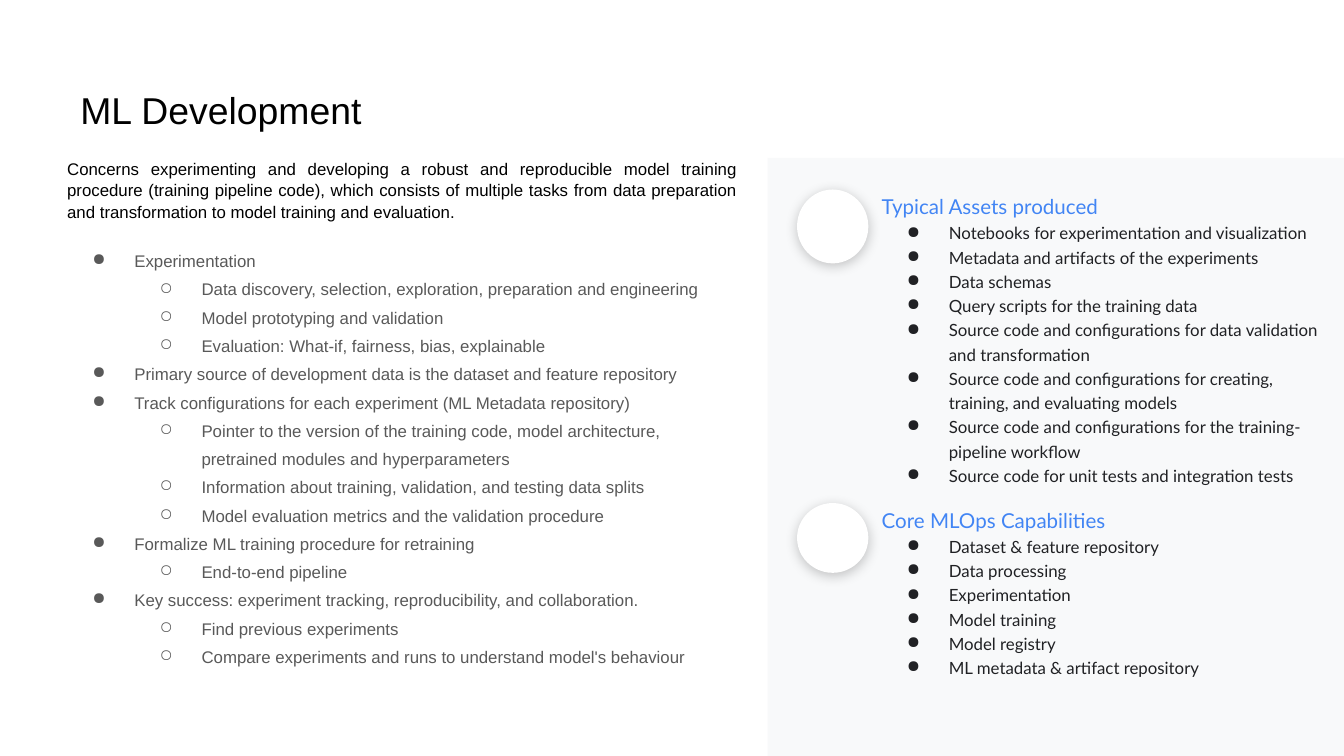
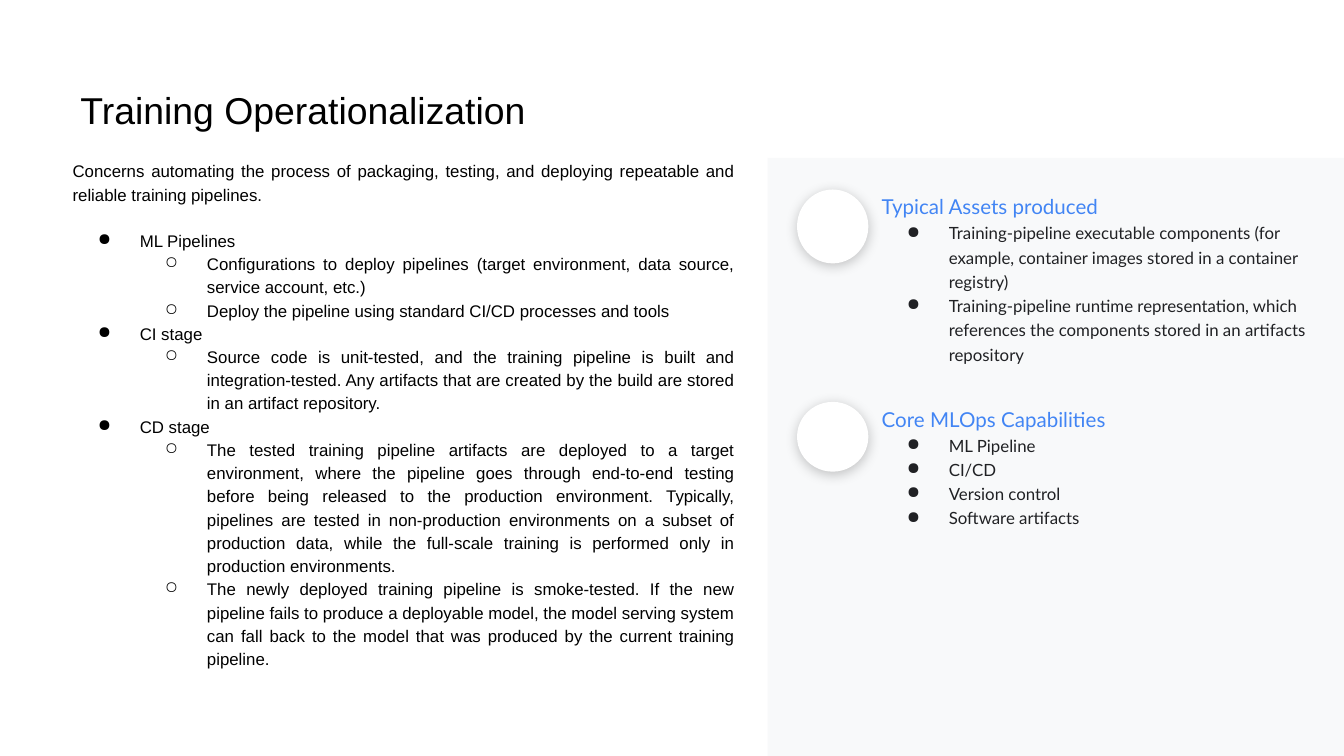
from lxml import etree
from pptx import Presentation
from pptx import util as u
from pptx.dml.color import RGBColor
from pptx.enum import shapes, text
from pptx.oxml import ns

Pt = u.Pt
COLORS = {
    "black": "000000",
    "gray": "595959",
    "ink": "202124",
    "blue": "4285F4",
    "panel": "F8F9FA",
    "white": "FFFFFF",
}
BULLETS = "●○"
STEP, HANG = 36, 22.5
PANEL_LEFT, PANEL_TOP = 411.25, 84.6
ASSETS_TOP = 101.5

# Slide content; list entries are (level, wording)
SLIDES = [
    {
        "title": "ML Development",
        "body": (36, 365.6),
        "intro": "Concerns experimenting and developing a robust and reproducible model training procedure (training pipeline code), which consists of multiple tasks from data preparation and transformation to model training and evaluation.",
        "intro_spacing": 1.05,
        "intro_gap": 11.4,
        "list_spacing": 1.4,
        "list_color": "gray",
        "list_align": text.PP_ALIGN.LEFT,
        "list": [
            (0, "Experimentation"),
            (1, "Data discovery, selection, exploration, preparation and engineering"),
            (1, "Model prototyping and validation"),
            (1, "Evaluation: What-if, fairness, bias, explainable"),
            (0, "Primary source of development data is the dataset and feature repository"),
            (0, "Track configurations for each experiment (ML Metadata repository)"),
            (1, "Pointer to the version of the training code, model architecture, pretrained modules and hyperparameters"),
            (1, "Information about training, validation, and testing data splits"),
            (1, "Model evaluation metrics and the validation procedure"),
            (0, "Formalize ML training procedure for retraining"),
            (1, "End-to-end pipeline"),
            (0, "Key success: experiment tracking, reproducibility, and collaboration."),
            (1, "Find previous experiments"),
            (1, "Compare experiments and runs to understand model's behaviour"),
        ],
        "assets_width": 238.3,
        "assets": [
            "Notebooks for experimentation and visualization",
            "Metadata and artifacts of the experiments",
            "Data schemas",
            "Query scripts for the training data",
            "Source code and configurations for data validation and transformation",
            "Source code and configurations for creating, training, and evaluating models",
            "Source code and configurations for the training-pipeline workflow",
            "Source code for unit tests and integration tests",
        ],
        "core_box": (269.5, 228.2, 100.8),
        "core": [
            "Dataset & feature repository",
            "Data processing",
            "Experimentation",
            "Model training",
            "Model registry",
            "ML metadata & artifact repository",
        ],
    },
    {
        "title": "Training Operationalization",
        "body": (38.9, 361.4),
        "intro": "Concerns automating the process of packaging, testing, and deploying repeatable and reliable training pipelines.",
        "intro_spacing": 1.15,
        "intro_gap": 12.4,
        "list_spacing": 1.15,
        "list_color": "black",
        "list_align": text.PP_ALIGN.JUSTIFY,
        "list": [
            (0, "ML Pipelines"),
            (1, "Configurations to deploy pipelines (target environment, data source, service account, etc.)"),
            (1, "Deploy the pipeline using standard CI/CD processes and tools"),
            (0, "CI stage"),
            (1, "Source code is unit-tested, and the training pipeline is built and integration-tested. Any artifacts that are created by the build are stored in an artifact repository."),
            (0, "CD stage"),
            (1, "The tested training pipeline artifacts are deployed to a target environment, where the pipeline goes through end-to-end testing before being released to the production environment. Typically, pipelines are tested in non-production environments on a subset of production data, while the full-scale training is performed only in production environments."),
            (1, "The newly deployed training pipeline is smoke-tested. If the new pipeline fails to produce a deployable model, the model serving system can fall back to the model that was produced by the current training pipeline."),
        ],
        "assets_width": 243.4,
        "assets": [
            "Training-pipeline executable components (for example, container images stored in a container registry)",
            "Training-pipeline runtime representation, which references the components stored in an artifacts repository",
        ],
        "core_box": (215.3, 210.2, 128.9),
        "core": ["ML Pipeline", "CI/CD", "Version control", "Software artifacts"],
    },
]


def add_box(page, left, top, width, height, insets=(0, 0, 0, 0)):
    box = page.shapes.add_textbox(Pt(left), Pt(top), Pt(width), Pt(height))
    frame = box.text_frame
    frame.word_wrap = True
    frame.margin_left, frame.margin_top, frame.margin_right, frame.margin_bottom = map(Pt, insets)
    return frame


def add_para(frame, wording, size, color, font, spacing, level=None, align=text.PP_ALIGN.LEFT):
    para = frame.paragraphs[0] if not frame.text else frame.add_paragraph()
    para.add_run().text = wording
    para.alignment = align
    para.line_spacing = spacing
    if level is not None:
        para.level = level
        props = para._p.get_or_add_pPr()
        props.set("marL", str(Pt(STEP * (level + 1))))
        props.set("indent", str(-Pt(HANG)))
        tint = etree.SubElement(props, ns.qn("a:buClr"))
        etree.SubElement(tint, ns.qn("a:srgbClr"), val=COLORS[color])
        etree.SubElement(props, ns.qn("a:buChar"), char=BULLETS[level])
    para.font.size = Pt(size)
    para.font.name = font
    para.font.color.rgb = RGBColor.from_string(COLORS[color])
    return para


deck = Presentation()
deck.slide_width, deck.slide_height = Pt(720), Pt(405)

for content in SLIDES:
    page = deck.slides.add_slide(deck.slide_layouts[6])
    page.background.fill.solid()
    page.background.fill.fore_color.rgb = RGBColor.from_string(COLORS["white"])

    # Introduction and nested list
    left, width = content["body"]
    body = add_box(page, left, PANEL_TOP, width, 284.4, (0, 0, 7.2, 0))
    intro = add_para(body, content["intro"], 9, "black", "Arial", content["intro_spacing"],
                     align=text.PP_ALIGN.JUSTIFY)
    intro.space_after = Pt(content["intro_gap"])
    for level, wording in content["list"]:
        add_para(body, wording, 9, content["list_color"], "Arial", content["list_spacing"],
                 level, content["list_align"])

    # Side panel
    panel = page.shapes.add_shape(shapes.MSO_SHAPE.RECTANGLE, Pt(PANEL_LEFT), Pt(PANEL_TOP),
                                  Pt(720 - PANEL_LEFT), Pt(405 - PANEL_TOP))
    panel.shadow.inherit = False
    panel.fill.solid()
    panel.fill.fore_color.rgb = RGBColor.from_string(COLORS["panel"])
    panel.line.fill.background()

    # Panel sections, each with a raised disc
    core_top, core_width, core_height = content["core_box"]
    sections = [
        ("Typical Assets produced", content["assets"], ASSETS_TOP, content["assets_width"], 121.7, 39.6),
        ("Core MLOps Capabilities", content["core"], core_top, core_width, core_height, 37.4),
    ]
    for heading, entries, top, width, height, disc_height in sections:
        section = add_box(page, 472.3, top, width, height)
        add_para(section, heading, 11, "blue", "Lato", 1.2)
        for entry in entries:
            add_para(section, entry, 9, "ink", "Lato", 1.2, 0)

        disc = page.shapes.add_shape(shapes.MSO_SHAPE.OVAL, Pt(427), Pt(top), Pt(38.2), Pt(disc_height))
        disc.fill.solid()
        disc.fill.fore_color.rgb = RGBColor.from_string(COLORS["white"])
        disc.line.fill.background()
        disc.shadow.inherit = False
        effects = disc._element.spPr.find(ns.qn("a:effectLst"))
        shadow = etree.SubElement(effects, ns.qn("a:outerShdw"), blurRad=str(Pt(6.8)),
                                  dist=str(Pt(1.5)), dir="5400000", algn="ctr", rotWithShape="0")
        shade = etree.SubElement(shadow, ns.qn("a:srgbClr"), val=COLORS["black"])
        etree.SubElement(shade, ns.qn("a:alpha"), val="21000")

    # Title
    title = add_box(page, 36, 36, 429.8, 78.5, (7.2, 7.2, 7.2, 7.2))
    add_para(title, content["title"], 20, "black", "Arial", 1.15)

deck.save("out.pptx")
